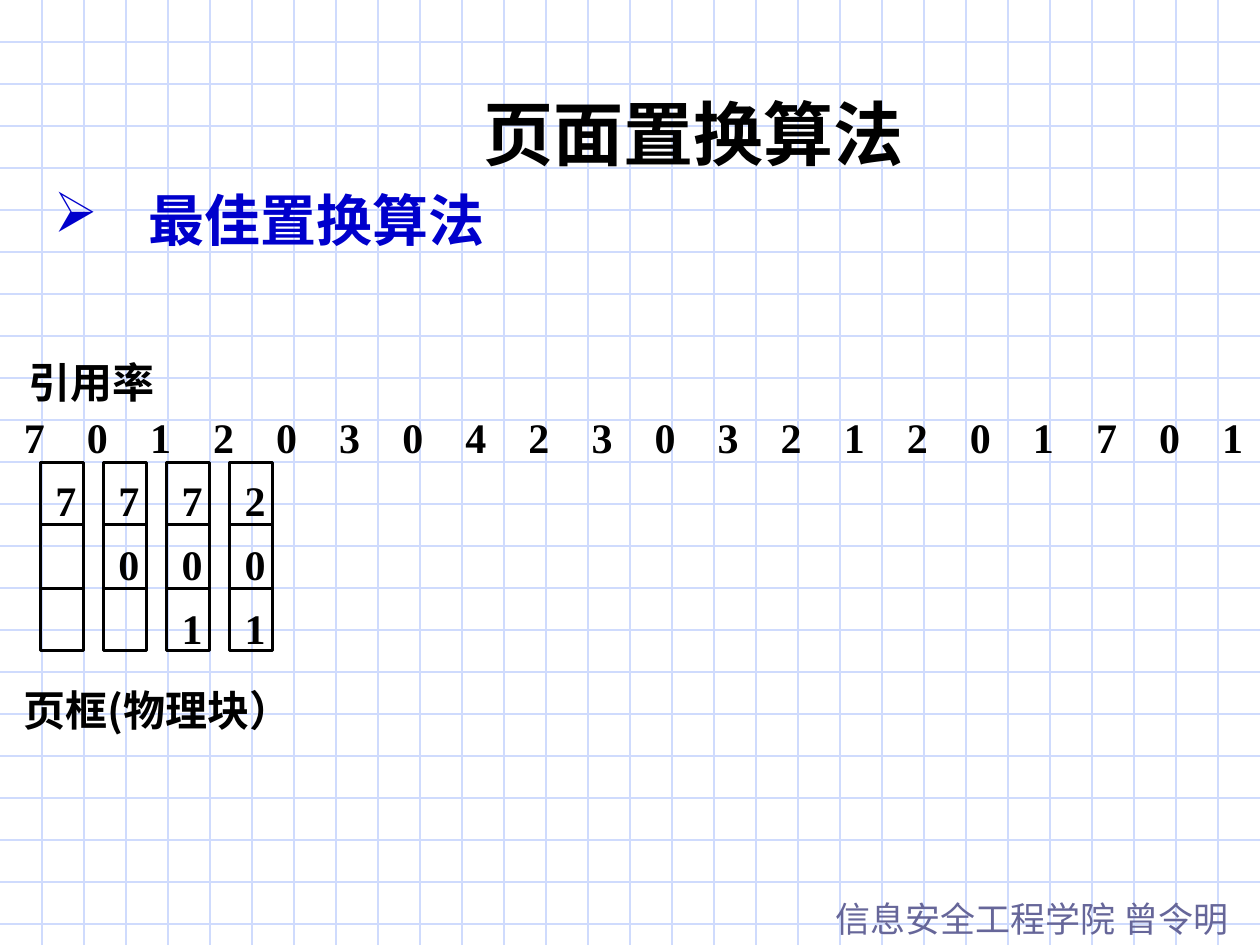
from lxml.etree import SubElement
from pptx import Presentation
from pptx.dml.color import RGBColor
from pptx.enum.shapes import MSO_CONNECTOR, MSO_SHAPE
from pptx.enum.text import PP_ALIGN
from pptx.oxml.ns import qn
from pptx.util import Inches, Pt

COLORS = {"grid": "CFDBFD", "footer": "666699", "heading": "0000CC", "ink": "000000"}
SANS, SERIF = "Noto Sans CJK SC", "Times New Roman"
WIDTH, HEIGHT = 10, 7.5
GRID_STEP = 1 / 3
REFERENCES = "70120304230321201701"
FRAME_STATES = ["7", "70", "701", "201"]
FRAME_TOPS = [3.67, 4.16, 4.67, 5.16]
FIRST_LEFT, LAST_LEFT = 0.19, 9.7


class SlideBuilder:
    def __init__(self, slide):
        self.slide = slide

    def color(self, name):
        return RGBColor.from_string(COLORS[name])

    def line(self, x1, y1, x2, y2):
        connector = self.slide.shapes.add_connector(
            MSO_CONNECTOR.STRAIGHT, Inches(x1), Inches(y1), Inches(x2), Inches(y2))
        connector.line.color.rgb = self.color("grid")
        connector.line.width = Pt(0.75)
        SubElement(connector._element.spPr, qn("a:effectLst"))

    def cell(self, left, top, width, height):
        shape = self.slide.shapes.add_shape(
            MSO_SHAPE.RECTANGLE, Inches(left), Inches(top), Inches(width), Inches(height))
        shape.shadow.inherit = False
        shape.fill.background()
        shape.line.color.rgb = self.color("ink")
        shape.line.width = Pt(1.75)

    def text(self, text, box, size=24, font=SANS, color="ink", bold=True,
             align=PP_ALIGN.LEFT, inset=(0, 0), wrap=False, bullet=None):
        """Add one paragraph; inset is (horizontal, vertical) in inches."""
        shape = self.slide.shapes.add_textbox(*map(Inches, box))
        frame = shape.text_frame
        horizontal, vertical = map(Inches, inset)
        frame_format = {"word_wrap": wrap, "margin_left": horizontal, "margin_right": horizontal,
                        "margin_top": vertical, "margin_bottom": vertical}
        for name, value in frame_format.items():
            setattr(frame, name, value)
        paragraph = frame.paragraphs[0]
        paragraph.alignment = align
        paragraph.line_spacing = Pt(1.2 * size)
        if bullet:
            self.bullet(paragraph, bullet)
        run = paragraph.add_run()
        run.text = text
        for name, value in {"name": font, "size": Pt(size), "bold": bold}.items():
            setattr(run.font, name, value)
        run.font.color.rgb = self.color(color)
        east_asian = SANS if font == SERIF else font
        SubElement(run._r.rPr, qn("a:ea")).set("typeface", east_asian)

    def bullet(self, paragraph, character):
        properties = paragraph._p.get_or_add_pPr()
        properties.set("marL", str(Inches(0.75)))
        properties.set("indent", str(Inches(-0.75)))
        SubElement(properties, qn("a:buChar")).set("char", character)

    def digit(self, character, left, top):
        self.text(character, (left, top, 0.17, 0.4), font=SERIF)


def main():
    presentation = Presentation()
    presentation.slide_width, presentation.slide_height = Inches(WIDTH), Inches(HEIGHT)
    builder = SlideBuilder(presentation.slides.add_slide(presentation.slide_layouts[6]))

    for row in range(1, 23):
        builder.line(0, row * GRID_STEP, WIDTH, row * GRID_STEP)
    for column in range(1, 30):
        builder.line(column * GRID_STEP, 0, column * GRID_STEP, HEIGHT)

    padded = {"inset": (0.1, 0.05), "wrap": True}
    builder.text("信息安全工程学院 曾令明", (6.53, 7.07, 3.47, 0.44), size=20,
                 font="Noto Sans CJK JP", color="footer", bold=False, **padded)
    builder.text("页面置换算法", (1.42, 0.67, 8.17, 0.77), size=40,
                 font="Noto Sans CJK JP", align=PP_ALIGN.CENTER, **padded)
    builder.text("最佳置换算法", (0.33, 1.42, 9.25, 0.92), size=32, font=SERIF,
                 color="heading", align=PP_ALIGN.JUSTIFY, bullet="➢", **padded)

    builder.text("引用率", (0.23, 2.83, 1, 0.4))
    step = (LAST_LEFT - FIRST_LEFT) / (len(REFERENCES) - 1)
    for index, page in enumerate(REFERENCES):
        builder.digit(page, FIRST_LEFT + index * step, 3.27)

    for column, pages in enumerate(FRAME_STATES):
        left = 0.32 + column * step
        for top, bottom in zip(FRAME_TOPS, FRAME_TOPS[1:]):
            builder.cell(left, top, 0.34, bottom - top)
        for row, page in enumerate(pages):
            builder.digit(page, left + 0.12, 3.77 + row * 0.505)
    builder.text("页框(物理块）", (0.19, 5.43, 2.29, 0.4))

    presentation.save("out.pptx")


if __name__ == "__main__":
    main()
